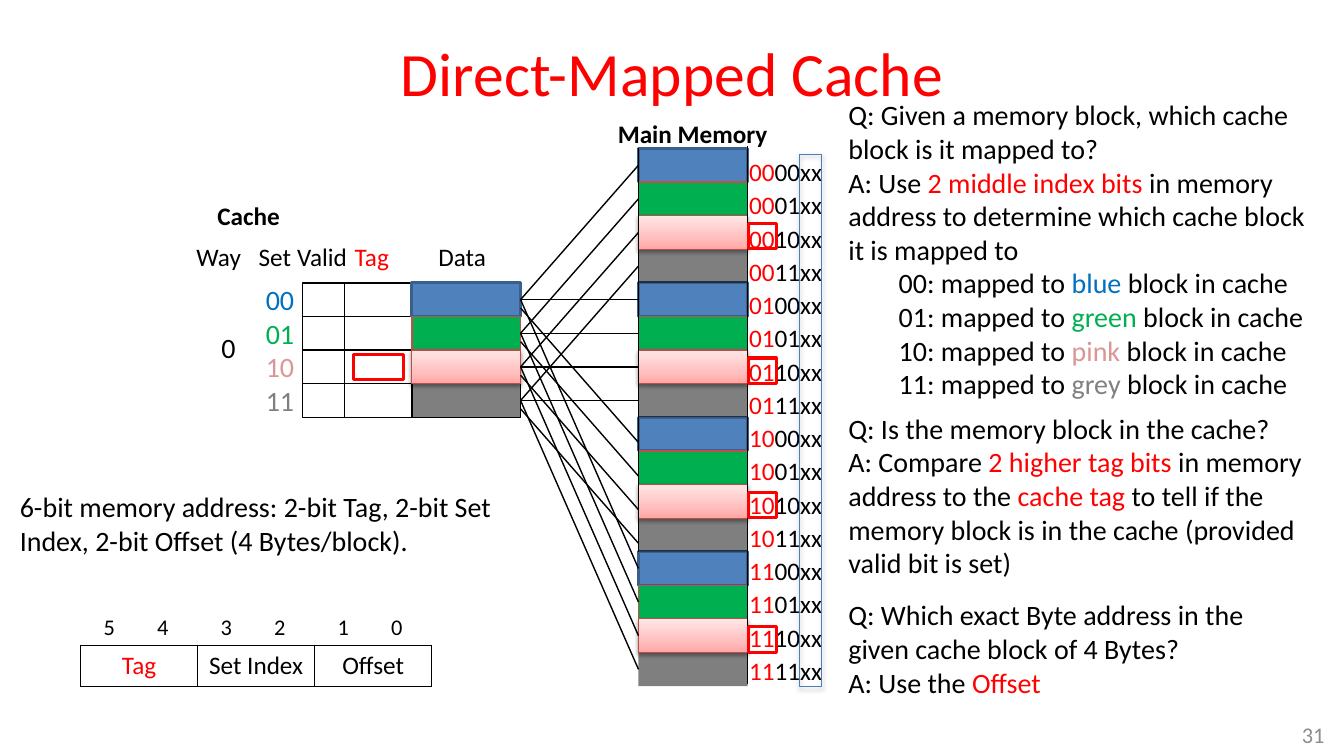
from collections import namedtuple
from copy import deepcopy

from lxml.etree import SubElement
from pptx import Presentation
from pptx.dml.color import RGBColor
from pptx.enum.shapes import MSO_CONNECTOR, MSO_SHAPE
from pptx.enum.text import MSO_ANCHOR, MSO_AUTO_SIZE, PP_ALIGN
from pptx.oxml.ns import qn
from pptx.util import Cm, Pt

Box = namedtuple("Box", "left top width height")
BLACK, RED = "000000", "FF0000"
BLUE, GREEN, PINK, GREY = range(4)
PAINT_ORDER = (BLUE, GREY, GREEN, PINK)
INDEX_COLORS = ("0070C0", "00B050", "D99694", "808080")
PINK_STOPS = ((0, "FFA6A5"), (0.35, "FFC0BF"), (1, "FFE7E7"))
ROW = 13.55 / 16
VALID_WIDTH, TAG_WIDTH = 1.07, 1.69


def color(hex_string):
    return RGBColor.from_string(hex_string)


def add_text(slide, box, paragraphs, size=18, wrap=True, bold=False, align=None,
             spacing=None, grow=True, indented=()):
    frame = slide.shapes.add_textbox(*map(Cm, box)).text_frame
    frame.word_wrap = wrap
    frame.auto_size = MSO_AUTO_SIZE.SHAPE_TO_FIT_TEXT if grow else MSO_AUTO_SIZE.NONE
    frame.vertical_anchor = MSO_ANCHOR.TOP if grow else MSO_ANCHOR.MIDDLE
    frame.text = "\n".join([""] * len(paragraphs))
    for number, (paragraph, pieces) in enumerate(zip(frame.paragraphs, paragraphs)):
        paragraph.alignment = align
        paragraph.line_spacing = spacing
        if number in indented:
            paragraph._p.get_or_add_pPr().set("marL", str(Cm(1.27)))
        for words, shade in pieces:
            run = paragraph.add_run()
            run.text = words
            style_font(run.font, size, shade, bold)


def style_font(font, size, shade, bold=False):
    font.name = "Calibri"
    font.size = Pt(size)
    font.bold = bold
    font.color.rgb = color(shade)


def add_label(slide, left, top, width, words, shade=BLACK, size=18, bold=False):
    add_text(slide, Box(left, top, width, 1.02), [[(words, shade)]], size, False, bold)


def add_frame(slide, box, shade=BLACK, weight=1):
    frame = slide.shapes.add_shape(MSO_SHAPE.RECTANGLE, *map(Cm, box))
    frame.shadow.inherit = False
    frame.fill.background()
    frame.line.color.rgb = color(shade)
    frame.line.width = Pt(weight)
    return frame


def add_line(slide, x1, y1, x2, y2):
    line = slide.shapes.add_connector(MSO_CONNECTOR.STRAIGHT, *map(Cm, (x1, y1, x2, y2)))
    line.line.color.rgb = color(BLACK)
    line.line.width = Pt(1)
    SubElement(line._element.spPr, qn("a:effectLst"))
    return line


def add_shadow(shape, alpha):
    effects = shape._element.spPr.find(qn("a:effectLst"))
    shadow = SubElement(effects, qn("a:outerShdw"), blurRad="40000", dist="20000",
                        dir="5400000", rotWithShape="0")
    shade = SubElement(shadow, qn("a:srgbClr"), val=BLACK)
    SubElement(shade, qn("a:alpha"), val=str(alpha * 1000))


def fill_pink(block):
    block.fill.gradient()
    block.fill.gradient_angle = 90
    stops = block._element.spPr.find(qn("a:gradFill")).find(qn("a:gsLst"))
    stops.append(deepcopy(stops[0]))
    for stop, (position, shade) in zip(block.fill.gradient_stops, PINK_STOPS):
        stop.position = position
        stop.color.rgb = color(shade)
    add_shadow(block, 38)


def add_block(slide, box, index):
    outline, weight = (("3A5F8C", 2), ("C0504D", 1), ("BF4C48", 0.75), (BLACK, 1))[index]
    block = add_frame(slide, box, outline, weight)
    if index == PINK:
        fill_pink(block)
        return block
    block.fill.solid()
    block.fill.fore_color.rgb = color({BLUE: "4F81BD", GREEN: "00B050", GREY: BLACK}[index])
    if index == GREY:
        block.line.fill.background()
        shade = block._element.spPr.find(qn("a:solidFill"))[0]
        SubElement(shade, qn("a:alpha"), val="50000")
    return block


def add_dividers(slide, box):
    for row in range(1, round(box.height / ROW)):
        y = box.top + row * ROW
        add_line(slide, box.left, y, box.left + box.width, y)


def add_blocks(slide, box):
    blocks = {}
    count = round(box.height / ROW)
    for index in PAINT_ORDER:
        for row in range(index, count, 4):
            place = Box(box.left, box.top + row * ROW, box.width, ROW)
            blocks[row] = add_block(slide, place, index)
    return blocks


def add_memory(slide, box):
    right = box.left + box.width
    add_label(slide, box.left - 0.77, box.top - 0.89, 4.32, "Main Memory", bold=True)
    add_line(slide, box.left, box.top, right, box.top)
    add_dividers(slide, box)
    blocks = add_blocks(slide, box)
    add_line(slide, box.left, box.top, box.left, box.top + 12 * ROW)
    addresses = [f"{row:04b}xx" for row in range(16)]
    add_text(slide, Box(right - 0.21, box.top, 2.75, 13.8),
             [[(address[:2], RED), (address[2:], BLACK)] for address in addresses],
             spacing=1.1)
    add_line(slide, right, box.top - 0.05, right, box.top + box.height - 0.05)
    for row in range(PINK, 16, 4):
        add_frame(slide, Box(right + 0.03, box.top + row * ROW + 0.2, 0.69, 0.64), RED, 2.25)
    offsets = add_frame(slide, Box(right + 1.3, box.top + 0.15, 0.57, 13.41), "4B7EBC", 0.75)
    add_shadow(offsets, 35)
    return blocks


def add_cache(slide, box):
    tag_left = box.left + VALID_WIDTH
    data_left = tag_left + TAG_WIDTH
    data = Box(data_left, box.top, box.left + box.width - data_left, box.height)
    for column in (Box(box.left, box.top, VALID_WIDTH, box.height),
                   Box(tag_left, box.top, TAG_WIDTH, box.height), data):
        add_frame(slide, column)
        add_dividers(slide, column)
    blocks = add_blocks(slide, data)
    add_frame(slide, Box(tag_left + 0.23, box.top + 2 * ROW + 0.11, 1.25, 0.64), RED, 2.25)
    add_label(slide, box.left - 2.39, box.top - 2.2, 2.11, "Cache", bold=True)
    headings = (("Way", -2.92, 1.65, BLACK), ("Set", -1.35, 1.35, BLACK),
                ("Valid", -0.38, 1.78, BLACK), ("Tag", 1.07, 1.37, RED),
                ("Data", 3.18, 1.73, BLACK))
    for words, shift, width, shade in headings:
        add_label(slide, box.left + shift, box.top - 1.17, width, words, shade)
    add_label(slide, box.left - 2.29, box.top + 1.07, 0.86, "0", size=20)
    for row, shade in enumerate(INDEX_COLORS):
        add_label(slide, box.left - 1.17, box.top + row * ROW - 0.13, 1.24,
                  f"{row:02b}", shade, 20)
    return blocks


def add_mapping(slide, box, cache_blocks, memory_blocks):
    right = box.left + box.width
    for row in range(4):
        for group in range(4):
            target = row + 4 * group
            shift = ROW / 4 if group == 2 else 0
            link = add_line(slide, box.left, box.top + (row + 4.5) * ROW + shift,
                            right, box.top + (target + 0.5) * ROW + shift)
            if not shift:
                link.begin_connect(cache_blocks[row], 3)
                link.end_connect(memory_blocks[target], 1)


def add_address_layout(slide, box):
    add_text(slide, Box(box.left - 1.78, box.top - 4.04, 12.45, 1.96),
             [[("6-bit memory address: 2-bit Tag, 2-bit Set Index, 2-bit Offset (4 Bytes/block).",
                BLACK)]], 20)
    fields = slide.shapes.add_table(1, 3, *map(Cm, box)).table
    fields.first_row = fields.horz_banding = False
    for number, (words, shade) in enumerate(
            (("Tag", RED), ("Set Index", BLACK), ("Offset", BLACK))):
        cell = fields.cell(0, number)
        cell.text_frame.text = words
        paragraph = cell.text_frame.paragraphs[0]
        paragraph.alignment = PP_ALIGN.CENTER
        style_font(paragraph.runs[0].font, 18, shade)
        for side in ("lnL", "lnR", "lnT", "lnB"):
            border = SubElement(cell._tc.get_or_add_tcPr(), qn(f"a:{side}"), w="12700")
            SubElement(SubElement(border, qn("a:solidFill")), qn("a:srgbClr"), val=BLACK)
        cell.fill.background()
        for bit in range(2):
            left = box.left + number * box.width / 3 + 0.33 + 1.35 * bit
            add_label(slide, left, box.top - 0.94, 0.8, str(5 - 2 * number - bit), size=16)


def add_questions(slide, box):
    names = ("blue", "green", "pink", "grey")
    mapped = [[(f"{row:02b}: mapped to ", BLACK), (name, shade), (" block in cache", BLACK)]
              for row, (name, shade) in enumerate(zip(names, INDEX_COLORS))]
    add_text(slide, Box(box.left, box.top, box.width, 7.95), [
        [("Q: Given a memory block, which cache block is it mapped to?", BLACK)],
        [("A: Use ", BLACK), ("2 middle index bits ", RED),
         ("in memory address to determine which cache block it is mapped to", BLACK)],
        *mapped], 20, indented=range(2, 6))
    add_text(slide, Box(box.left, box.top + 7.9, 12.09, 4.52), [
        [("Q: Is the memory block in the cache?", BLACK)],
        [("A: Compare ", BLACK), ("2 higher tag bits ", RED),
         ("in memory address to the ", BLACK), ("cache tag ", RED),
         ("to tell if the memory block is in the cache (provided valid bit is set)", BLACK)]], 20)
    add_text(slide, Box(box.left, box.top + 12.6, 12.09, 2.82), [
        [("Q: Which exact Byte address in the given cache block of 4 Bytes?", BLACK)],
        [("A: Use the ", BLACK), ("Offset", RED)]], 20)


def main():
    deck = Presentation()
    deck.slide_width, deck.slide_height = Cm(33.87), Cm(19.05)
    slide = deck.slides.add_slide(deck.slide_layouts[6])
    add_text(slide, Box(5.51, 0.76, 22.86, 2.41), [[("Direct-Mapped Cache", RED)]], 44,
             align=PP_ALIGN.CENTER, spacing=0.85, grow=False)
    memory = Box(16.09, 3.74, 2.75, 16 * ROW)
    cache = Box(7.62, memory.top + 4 * ROW, 5.5, 4 * ROW)
    cache_right = cache.left + cache.width
    memory_blocks = add_memory(slide, memory)
    cache_blocks = add_cache(slide, cache)
    gap = Box(cache_right, memory.top, memory.left - cache_right, memory.height)
    add_mapping(slide, gap, cache_blocks, memory_blocks)
    add_questions(slide, Box(21.13, 2.34, 12.5, 15.42))
    add_address_layout(slide, Box(2.03, 16.26, 8.85, 1.04))
    add_text(slide, Box(31.93, 17.98, 1.7, 1.07), [[("31", "8C8C8C")]], 16,
             align=PP_ALIGN.RIGHT, grow=False)
    deck.save("out.pptx")


if __name__ == "__main__":
    main()
